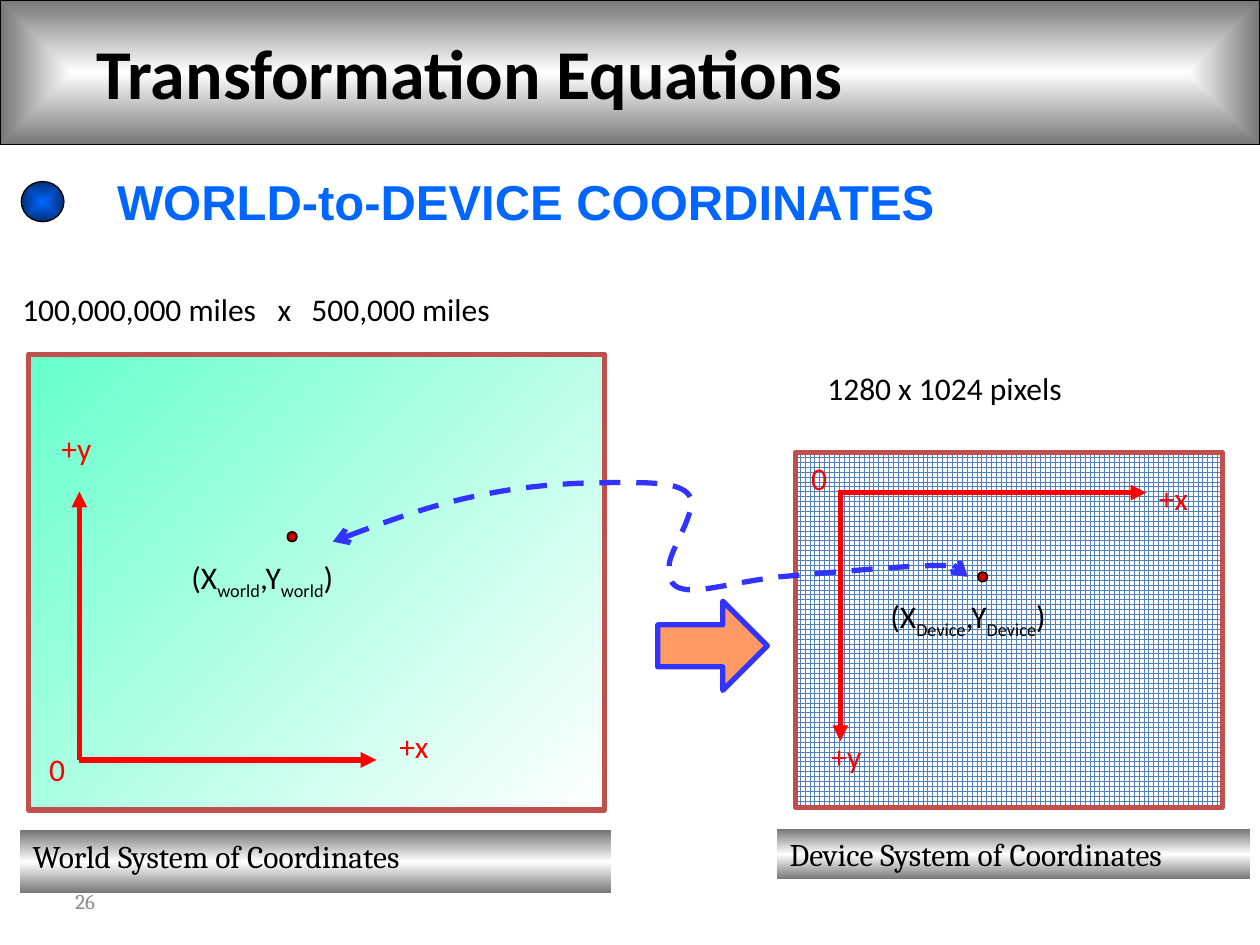
from lxml import etree
from pptx import Presentation
from pptx.dml.color import RGBColor
from pptx.enum.dml import MSO_LINE, MSO_PATTERN
from pptx.enum.shapes import MSO_CONNECTOR, MSO_SHAPE
from pptx.enum.text import MSO_ANCHOR, PP_ALIGN
from pptx.oxml.ns import qn
from pptx.util import Cm, Pt

BLACK, RED, BLUE, RUST = "000000", "FF0000", "3333FF", "C0504D"
GRAY, WHITE = "767676", "FFFFFF"
CURVE = [
    (6.71, 10.92),
    (7.72, 10.54), (8.76, 10.16), (9.7, 9.98),
    (10.64, 9.78), (11.61, 9.73), (12.29, 9.73),
    (13, 9.73), (13.69, 9.7), (13.89, 9.98),
    (14.1, 10.26), (13.49, 11.1), (13.49, 11.4),
    (13.49, 11.73), (13.54, 11.86), (13.89, 11.89),
    (14.27, 11.91), (14.86, 11.73), (15.7, 11.63),
    (16.54, 11.56), (18.26, 11.4), (18.9, 11.4),
    (19.53, 11.4), (19.51, 11.53), (19.51, 11.63),
]


def color(code):
    """Turn a hex string into a colour."""
    return RGBColor.from_string(code)


def node(parent, tag, **attrs):
    """Append a drawing element to a parent."""
    return etree.SubElement(parent, qn("a:" + tag), attrs)


def stroke(shape, code, width):
    """Set the line colour and width."""
    shape.line.color.rgb = color(code)
    shape.line.width = Pt(width)


def tips(shape, **ends):
    """Add arrowheads to a line."""
    for tag, kind in ends.items():
        node(shape.line._get_or_add_ln(), tag, type=kind)


def blend(shape, codes, angle=None):
    """Fill a shape with an even gradient, linear or from its centre."""
    shape.fill.solid()
    props = shape._element.spPr
    grad = etree.Element(qn("a:gradFill"), rotWithShape="1")
    stops = node(grad, "gsLst")
    for i, code in enumerate(codes):
        stop = node(stops, "gs", pos=str(100000 * i // (len(codes) - 1)))
        node(stop, "srgbClr", val=code)
    if angle is None:
        path = node(grad, "path", path="shape")
        node(path, "fillToRect", l="50000", t="50000", r="50000", b="50000")
    else:
        node(grad, "lin", ang=str(angle * 60000), scaled="1")
    props.replace(props.find(qn("a:solidFill")), grad)


def form(slide, kind, *box):
    """Add a preset shape without shadow."""
    shape = slide.shapes.add_shape(kind, *map(Cm, box))
    shape.shadow.inherit = False
    return shape


def style(run, code=BLACK, size=18, font="Calibri", bold=False):
    """Format one run."""
    run.font.name, run.font.size, run.font.bold = font, Pt(size), bold
    run.font.color.rgb = color(code)


def label(slide, text, box, middle=False, tabs=(), **look):
    """Add a text box with one line."""
    frame = slide.shapes.add_textbox(*map(Cm, box)).text_frame
    frame.word_wrap = True
    frame.vertical_anchor = MSO_ANCHOR.MIDDLE if middle else MSO_ANCHOR.TOP
    para = frame.paragraphs[0]
    if tabs:
        stops = node(para._p.get_or_add_pPr(), "tabLst")
        for stop in tabs:
            node(stops, "tab", pos=str(Cm(stop)), algn="l")
    para.text = text
    style(para.runs[0], **look)


def coords(slide, name, *box):
    """Add a coordinate pair with subscripts."""
    frame = slide.shapes.add_textbox(*map(Cm, box)).text_frame
    frame.word_wrap = True
    for i, part in enumerate(["(X", name, ",Y", name, ")"]):
        run = frame.paragraphs[0].add_run()
        run.text = part
        style(run)
        if i % 2:
            run._r.get_or_add_rPr().set("baseline", "-25000")


def ball(slide, codes, *box):
    """Add a shaded round dot."""
    dot = form(slide, MSO_SHAPE.OVAL, *box)
    blend(dot, codes)
    stroke(dot, BLACK, 0.75)


def bar(slide, text, *box):
    """Add a metallic caption bar."""
    shape = form(slide, MSO_SHAPE.RECTANGLE, *box)
    blend(shape, [GRAY, WHITE, GRAY], 90)
    shape.line.fill.background()
    frame = shape.text_frame
    frame.text = text
    frame.vertical_anchor = MSO_ANCHOR.TOP
    frame.paragraphs[0].alignment = PP_ALIGN.LEFT
    style(frame.paragraphs[0].runs[0], font="Cambria")


def axis(slide, *ends):
    """Add a red axis arrow."""
    line = slide.shapes.add_connector(MSO_CONNECTOR.STRAIGHT, *map(Cm, ends))
    stroke(line, RED, 3)
    tips(line, tailEnd="triangle")
    node(line._element.spPr, "effectLst")


def link(slide):
    """Add the dashed curve that joins both points."""
    points = [(Cm(x), Cm(y)) for x, y in CURVE]
    maker = slide.shapes.build_freeform(*points[0])
    maker.add_line_segments(points[1:], close=False)
    shape = maker.convert_to_shape()
    shape.shadow.inherit = False
    shape.fill.background()
    stroke(shape, BLUE, 3)
    shape.line.dash_style = MSO_LINE.DASH
    tips(shape, headEnd="arrow", tailEnd="arrow")
    path = next(shape._element.iter(qn("a:path")))
    steps = path.findall(qn("a:lnTo"))
    for i in range(0, len(steps), 3):
        bend = node(path, "cubicBezTo")
        for step in steps[i:i + 3]:
            bend.append(step[0])
            path.remove(step)


def main():
    """Build the slide."""
    deck = Presentation()
    deck.slide_width, deck.slide_height = Cm(25.4), Cm(19.05)
    slide = deck.slides.add_slide(deck.slide_layouts[6])

    label(slide, "26", (1.27, 17.65, 5.92, 1.02), True,
          code="8C8C8C", size=12, font="Cambria")
    head = form(slide, MSO_SHAPE.RECTANGLE, 0, 0, 25.4, 2.92)
    blend(head, [WHITE, GRAY])
    stroke(head, BLACK, 0.75)
    label(slide, "Transformation Equations", (1.7, 0, 18.19, 2.87), True,
          size=40, bold=True)
    label(slide, "WORLD-to-DEVICE COORDINATES", (2.11, 3.33, 18.8, 1.45),
          code="0066FF", size=28, font="Arial", bold=True)
    ball(slide, ["0066FF", "002F76"], 0.43, 3.66, 0.86, 0.81)

    screen = form(slide, MSO_SHAPE.RECTANGLE, 16.03, 9.12, 8.61, 7.16)
    screen.fill.patterned()
    screen.fill.pattern = MSO_PATTERN.LARGE_GRID
    screen.fill.fore_color.rgb = color("4F81BD")
    screen.fill.back_color.rgb = color(WHITE)
    stroke(screen, RUST, 3)
    world = form(slide, MSO_SHAPE.RECTANGLE, 0.58, 7.14, 11.61, 9.19)
    blend(world, ["66FFCC", WHITE], 45)
    stroke(world, RUST, 3)
    label(slide, "1280 x 1024 pixels", (16.43, 7.32, 7.65, 1.3))
    label(slide, "100,000,000 miles\tx\t500,000 miles",
          (0.2, 5.72, 10.08, 1.02), tabs=(5.15, 5.83))

    arrow = form(slide, MSO_SHAPE.RIGHT_ARROW, 13.26, 12.12, 2.21, 1.8)
    arrow.adjustments[0], arrow.adjustments[1] = 0.47, 0.5
    arrow.fill.solid()
    arrow.fill.fore_color.rgb = color("FF9966")
    stroke(arrow, BLUE, 3)
    bar(slide, "World System of Coordinates", 0.41, 16.74, 11.91, 1.27)
    bar(slide, "Device System of Coordinates", 15.67, 16.71, 9.53, 1.02)

    for ends in [(1.6, 15.32, 7.59, 15.32), (1.6, 15.32, 1.6, 9.91),
                 (16.89, 9.93, 23.11, 9.93), (16.94, 9.93, 16.94, 14.94)]:
        axis(slide, *ends)
    for text, x, y in [("+x", 7.8, 14.53), ("+y", 0.99, 8.53),
                       ("+x", 23.11, 9.53), ("+y", 16.51, 14.73),
                       ("0", 0.74, 14.99), ("0", 16.1, 9.12)]:
        label(slide, text, (x, y, 0.99 if text == "0" else 1.45, 1.3), code=RED)
    for x, y in [(5.79, 10.72), (19.71, 11.53)]:
        ball(slide, [RED, "760000"], x, y, 0.2, 0.2)
    coords(slide, "world", 3.61, 11.13, 5.16, 1.27)
    coords(slide, "Device", 17.7, 11.91, 5.94, 1.3)
    link(slide)
    deck.save("out.pptx")


if __name__ == "__main__":
    main()
